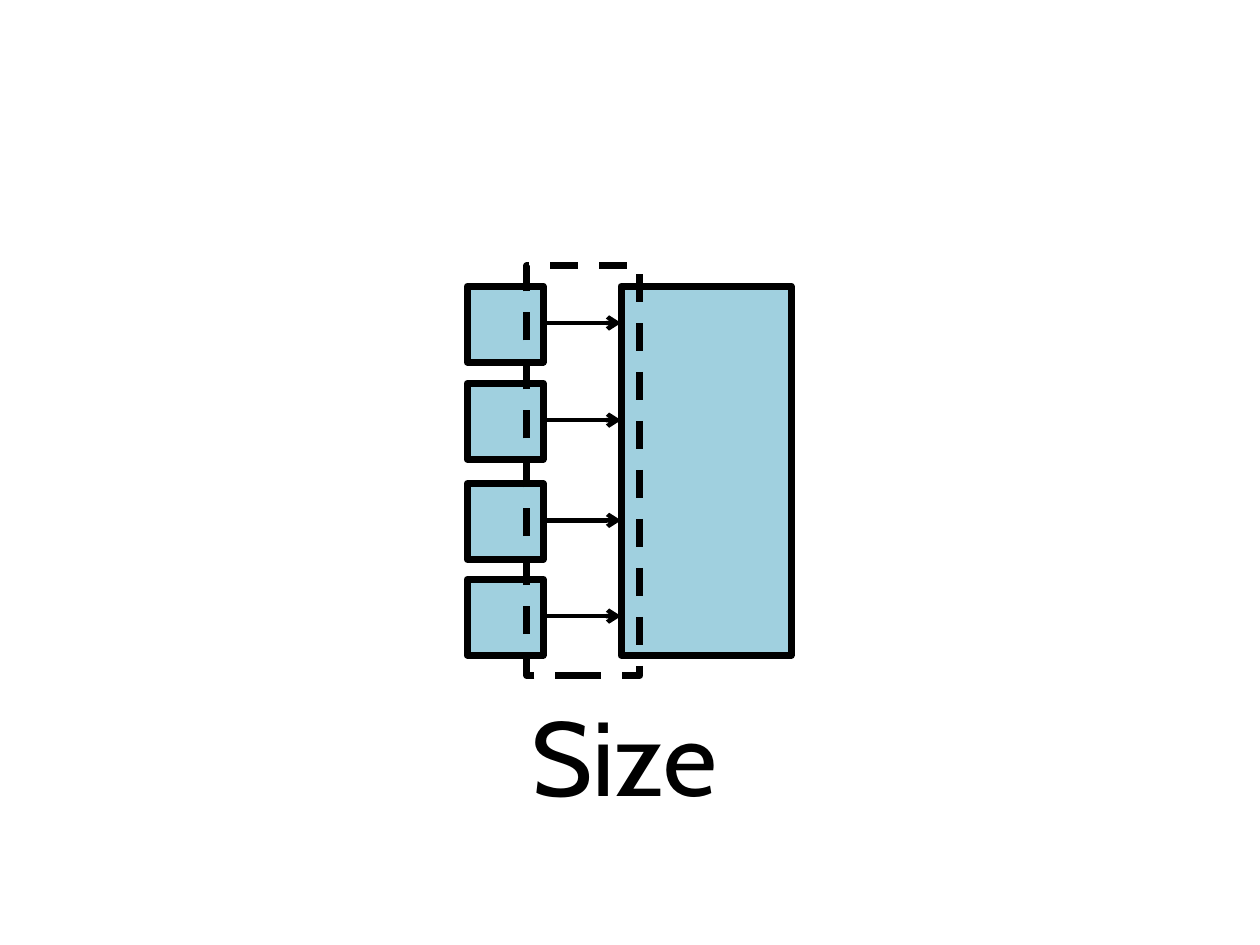
from lxml import etree
from pptx import Presentation
from pptx.dml.color import RGBColor
from pptx.enum.dml import MSO_LINE
from pptx.enum.shapes import MSO_CONNECTOR, MSO_SHAPE
from pptx.enum.text import PP_ALIGN
from pptx.oxml.ns import qn
from pptx.util import Cm, Pt

RECT = MSO_SHAPE.RECTANGLE
STRAIGHT = MSO_CONNECTOR.STRAIGHT
DASH = MSO_LINE.DASH
CENTER = PP_ALIGN.CENTER
BLUE = RGBColor(0xA0, 0xD0, 0xDF)
BLACK = RGBColor(0, 0, 0)

CAPTION = "Size"
SMALL_LEFT, SMALL_SIDE = 9.42, 1.53
SMALL_TOPS = [5.77, 7.73, 9.75, 11.68]
LARGE_LEFT, LARGE_WIDTH = 12.52, 3.43
ARROW_DROP = 0.74  # from the top of a small box
FRAME = (10.62, 5.36, 2.28, 8.26)
CAPTION_BOX = (1.75, 13.82, 21.67, 2.82)


def style_line(line, width):
    line.color.rgb = BLACK
    line.width = Pt(width)


def add_box(s, left, top, width, height, fill=None):
    sp = s.shapes.add_shape(RECT, Cm(left), Cm(top), Cm(width), Cm(height))
    sp.shadow.inherit = False
    if fill is None:
        sp.fill.background()
    else:
        sp.fill.solid()
        sp.fill.fore_color.rgb = fill
    style_line(sp.line, 4)
    etree.SubElement(sp.line._get_or_add_ln(), qn("a:round"))
    return sp


def add_arrow(s, x1, x2, y):
    cn = s.shapes.add_connector(STRAIGHT, Cm(x1), Cm(y), Cm(x2), Cm(y))
    style_line(cn.line, 2.5)
    ln = cn.line._get_or_add_ln()
    etree.SubElement(ln, qn("a:round"))
    etree.SubElement(ln, qn("a:tailEnd"), type="arrow")
    etree.SubElement(cn._element.spPr, qn("a:effectLst"))


prs = Presentation()
prs.slide_width, prs.slide_height = Cm(25.4), Cm(19.05)
s = prs.slides.add_slide(prs.slide_layouts[6])

large_height = SMALL_TOPS[-1] + SMALL_SIDE - SMALL_TOPS[0]
add_box(s, LARGE_LEFT, SMALL_TOPS[0], LARGE_WIDTH, large_height, BLUE)
for top in SMALL_TOPS:
    add_box(s, SMALL_LEFT, top, SMALL_SIDE, SMALL_SIDE, BLUE)
    add_arrow(s, SMALL_LEFT + SMALL_SIDE, LARGE_LEFT, top + ARROW_DROP)
add_box(s, *FRAME).line.dash_style = DASH

tf = s.shapes.add_textbox(*map(Cm, CAPTION_BOX)).text_frame
tf.word_wrap = True
p = tf.paragraphs[0]
p.text = CAPTION
p.alignment = CENTER
p.font.name = "Cabin"
p.font.size = Pt(60)
p.font.color.rgb = BLACK

prs.save("out.pptx")
